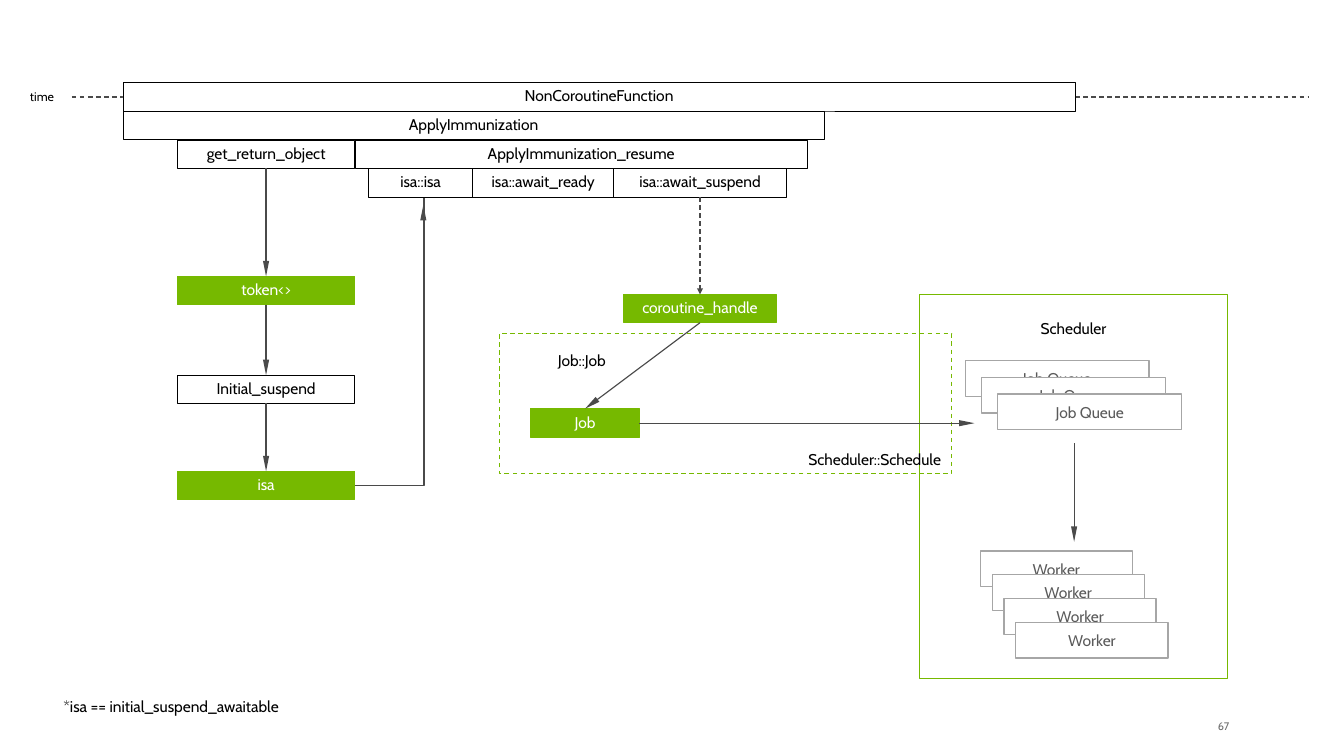
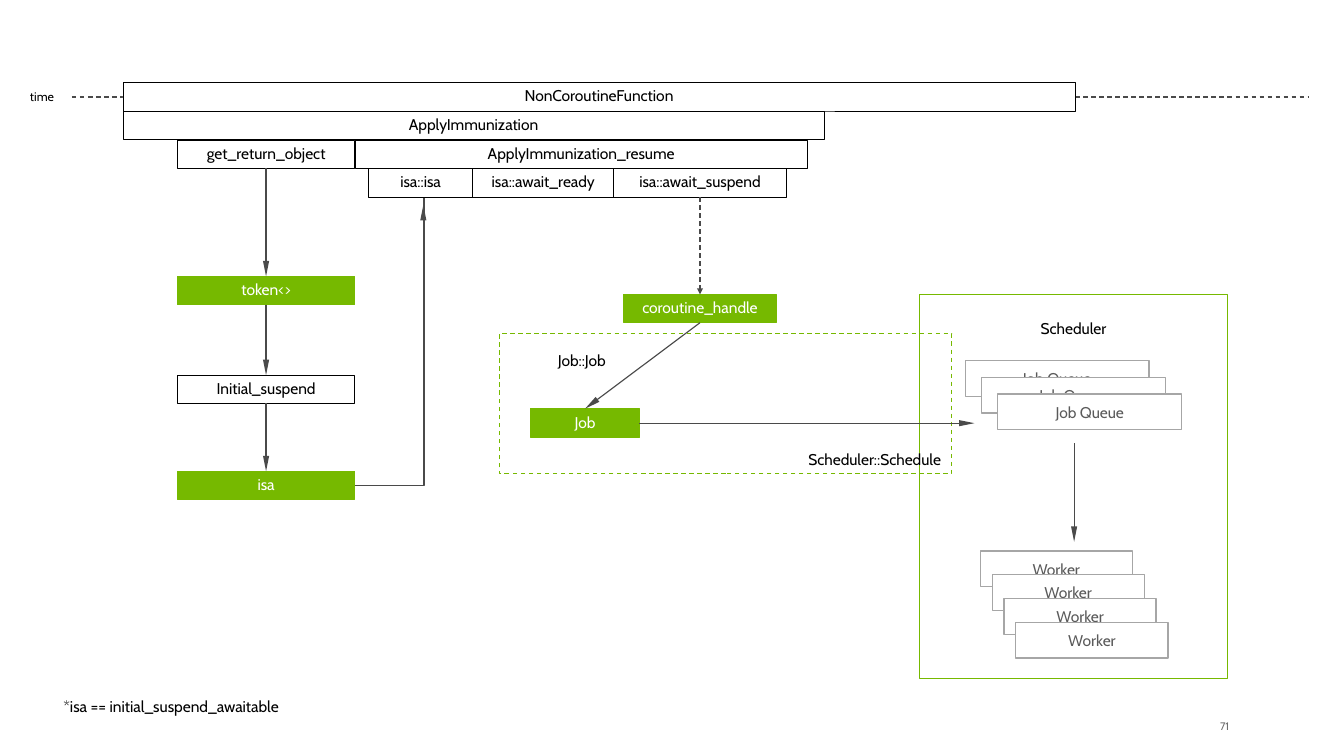
from lxml.etree import SubElement as Sub
from pptx import Presentation
from pptx.dml.color import RGBColor as RGB
from pptx.enum.dml import MSO_LINE_DASH_STYLE as Dash
from pptx.enum.shapes import MSO_CONNECTOR as Link, MSO_SHAPE as Form
from pptx.enum.text import MSO_ANCHOR as Anchor, PP_ALIGN as Align
from pptx.oxml.ns import qn
from pptx.util import Cm, Pt

HUES = {
    "white": "FFFFFF",
    "black": "000000",
    "green": "76B900",
    "edge": "A6A6A6",
    "text": "5A5A5A",
    "page": "6E6E6E",
    "line": "4A4A4A",
}
FACE = "Cabin"
TOP, LEFT, BOTTOM, RIGHT = range(4)
ROW = 0.64


def hue(name):
    return RGB.from_string(HUES[name])


class Deck:
    def __init__(self):
        self.prs = Presentation()
        self.prs.slide_width = Cm(30.48)
        self.prs.slide_height = Cm(17.15)

    def start(self):
        self.slide = self.prs.slides.add_slide(self.prs.slide_layouts[6])
        self.shapes = self.slide.shapes

    def words(self, shape, text, color="black", size=10, align=Align.CENTER,
              anchor=Anchor.MIDDLE, space=0.9, wrap=True):
        frame = shape.text_frame
        frame.word_wrap = wrap
        frame.vertical_anchor = anchor
        para = frame.paragraphs[0]
        para.text = text
        para.alignment = align
        para.line_spacing = space
        para.font.name = FACE
        para.font.size = Pt(size)
        para.font.color.rgb = hue(color)
        return frame

    def rect(self, x, y, w, h, fill=None, edge="black", width=0.5, group=None):
        home = group.shapes if group else self.shapes
        shape = home.add_shape(Form.RECTANGLE, Cm(x), Cm(y), Cm(w), Cm(h))
        shape.shadow.inherit = False
        if fill:
            shape.fill.solid()
            shape.fill.fore_color.rgb = hue(fill)
        else:
            shape.fill.background()
        shape.line.color.rgb = hue(edge)
        shape.line.width = Pt(width)
        return shape

    def step(self, text, x, y, w, h=ROW):
        shape = self.rect(x, y, w, h, "white")
        self.words(shape, text)
        return shape

    def state(self, text, x, y, w, h=ROW):
        shape = self.rect(x, y, w, h, "green", "green")
        self.words(shape, text, "white")
        return shape

    def stack(self, text, count, x, y, w, dx, dy):
        group = self.shapes.add_group_shape()
        for i in range(count):
            card = self.rect(x + i * dx, y + i * dy, w, 0.81,
                             "white", "edge", 0.75, group)
            self.words(card, text, "text", space=1.0)

    def label(self, text, x, y, w, h=ROW, **style):
        box = self.shapes.add_textbox(Cm(x), Cm(y), Cm(w), Cm(h))
        return self.words(box, text, wrap=False, **style)

    def line(self, x1=0, y1=0, x2=0, y2=0, kind=Link.STRAIGHT,
             dash=False, head=True, bend=None):
        link = self.shapes.add_connector(kind, Cm(x1), Cm(y1), Cm(x2), Cm(y2))
        link.line.color.rgb = hue("line")
        link.line.width = Pt(0.75)
        if dash:
            link.line.dash_style = Dash.DASH
        props = link._element.spPr
        if head:
            Sub(props.find(qn("a:ln")), qn("a:tailEnd"), type="triangle",
                w="sm", len="sm" if dash else "lg")
        if bend:
            guides = props.find(qn("a:prstGeom")).find(qn("a:avLst"))
            Sub(guides, qn("a:gd"), name="adj1", fmla=f"val {bend}")
        Sub(props, qn("a:effectLst"))
        return link

    def join(self, first, last, dash=False):
        link = self.line(dash=dash)
        link.begin_connect(first, BOTTOM)
        link.end_connect(last, TOP)

    def page(self, number):
        frame = self.label(number, 27.08, 16.28, 0.8, 0.38,
                           color="page", size=7, align=Align.RIGHT, space=1.0)
        frame.margin_left = frame.margin_right = 0
        frame.margin_top = frame.margin_bottom = 0


def draw(deck, number):
    deck.start()
    deck.page(number)
    rows = [1.88 + 0.65 * i for i in range(4)]
    col, wide = 4.02, 4.03

    deck.line(8.05, 11.01, 13.92, 4.15, Link.ELBOW, bend=26700)
    deck.line(1.63, 2.2, 29.67, 2.2, dash=True, head=False)
    deck.label("time", 0.41, 1.93, 1.09, 0.56, size=8)

    deck.step("ApplyImmunization", 2.79, rows[1], 15.9)
    deck.step("ApplyImmunization_resume", col + wide, rows[2], 10.26)
    start = deck.step("get_return_object", col, rows[2], wide)
    wait = deck.step("isa::await_suspend", 13.92, rows[3], 3.91)
    deck.step("isa::await_ready", 10.72, rows[3], 3.2)
    deck.step("isa::isa", 8.36, rows[3], 2.36)
    deck.label("*isa == initial_suspend_awaitable", 0.97, 15.72, 5.82)

    pool = deck.rect(20.85, 6.68, 6.99, 8.71, edge="green", width=0.75)
    frame = deck.words(pool, "Scheduler", anchor=Anchor.TOP, space=1.0)
    frame.margin_top = Cm(0.56)
    deck.stack("Worker", 4, 22.23, 12.5, 3.45, 0.27, 0.54)
    deck.stack("Job Queue", 3, 21.89, 8.18, 4.17, 0.37, 0.38)
    deck.line(24.36, 10.06, 24.36, 12.29)

    job = deck.state("Job", 12.04, 9.27, 2.46, 0.66)
    handle = deck.state("coroutine_handle", 14.15, 6.68, 3.45)
    deck.join(handle, job)
    deck.join(wait, handle, dash=True)
    plan = deck.rect(11.33, 7.57, 10.26, 3.18, edge="green", width=0.75)
    plan.line.dash_style = Dash.DASH
    deck.words(plan, "Scheduler::Schedule", align=Align.RIGHT,
               anchor=Anchor.BOTTOM, space=1.0)
    deck.label("Job::Job", 12.24, 7.87, 1.91)
    deck.line(14.5, 9.6, 22.1, 9.6).begin_connect(job, RIGHT)

    token = deck.state("token<>", col, 6.27, wide)
    isa = deck.state("isa", col, 10.69, wide)
    first = deck.step("Initial_suspend", col, 8.51, wide)
    chain = [start, token, first, isa]
    for above, below in zip(chain, chain[1:]):
        deck.join(above, below)
    deck.line(9.6, 10.26, 9.6, 4.65)
    deck.step("NonCoroutineFunction", 2.79, rows[0], 21.59)


def main():
    deck = Deck()
    for number in ("67", "71"):
        draw(deck, number)
    deck.prs.save("out.pptx")


if __name__ == "__main__":
    main()
